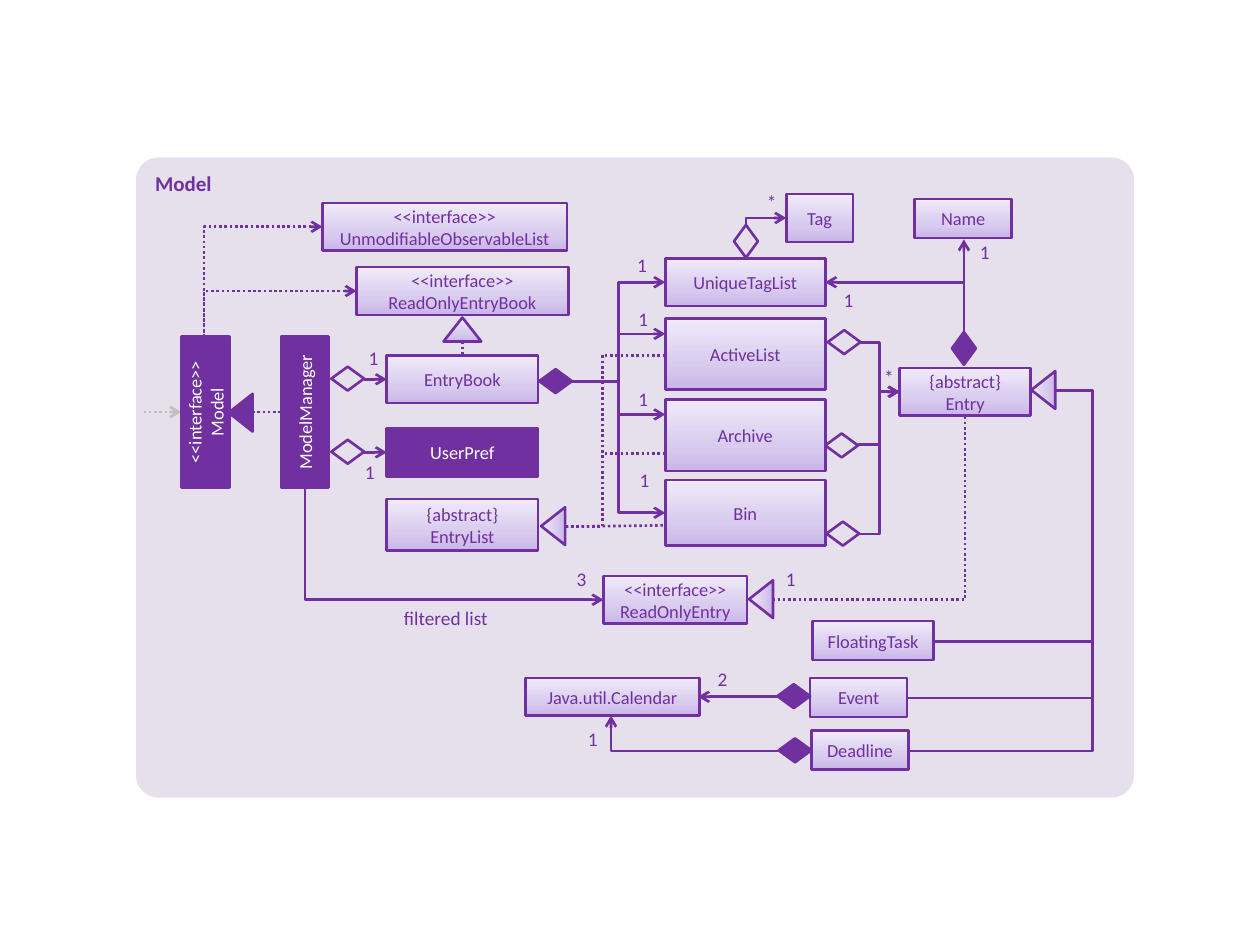
"""Builds the class diagram of the Model component."""
from copy import deepcopy

from lxml import etree
from pptx import Presentation, util as u
from pptx.dml.color import RGBColor
from pptx.enum import dml, shapes, text
from pptx.oxml.ns import qn

PURPLE, WHITE, GREY = "7030A0", "FFFFFF", "BFBFBF"
RECT = shapes.MSO_SHAPE.RECTANGLE
DIAMOND = shapes.MSO_SHAPE.FLOWCHART_DECISION
TRIANGLE = shapes.MSO_SHAPE.ISOSCELES_TRIANGLE
STOPS = [(0, "C9B5E8"), (0.35, "D8CBEE"), (1, "F0EAF9")]
rgb = RGBColor.from_string

prs = Presentation()
prs.slide_width, prs.slide_height = u.Inches(10), u.Inches(7.5)
s = prs.slides.add_slide(prs.slide_layouts[6])


def node(kind, x, y, w, h, words="", fill="shade", rot=0):
    sp = s.shapes.add_shape(kind, *map(u.Inches, (x, y, w, h)))
    sp.shadow.inherit = False
    sp.rotation = rot
    sp.line.color.rgb = rgb(PURPLE)
    sp.line.width = u.Pt(1.5)
    if fill == "shade":
        sp.fill.gradient()
        sp.fill.gradient_angle = 90
        first = sp.fill.gradient_stops[0]._gs
        first.addnext(deepcopy(first))
        for stop, (place, color) in zip(sp.fill.gradient_stops, STOPS):
            stop.position = place
            stop.color.rgb = rgb(color)
    elif fill:
        sp.fill.solid()
        sp.fill.fore_color.rgb = rgb(fill)
    else:
        sp.fill.background()
    tf = sp.text_frame
    tf.vertical_anchor = text.MSO_ANCHOR.MIDDLE
    tf.margin_left = tf.margin_right = tf.margin_top = tf.margin_bottom = 0
    for i, line in enumerate(words.split("\n") if words else []):
        p = tf.add_paragraph() if i else tf.paragraphs[0]
        p.alignment = text.PP_ALIGN.CENTER
        r = p.add_run()
        r.text = line
        r.font.name, r.font.size = "Calibri", u.Pt(10.5)
        r.font.color.rgb = rgb(WHITE if fill == PURPLE else PURPLE)
    return sp


def link(x1, y1, x2, y2, bend=None, arrow=None, dotted=False, color=PURPLE):
    kind = shapes.MSO_CONNECTOR.STRAIGHT if bend is None else shapes.MSO_CONNECTOR.ELBOW
    cx = s.shapes.add_connector(kind, *map(u.Inches, (x1, y1, x2, y2)))
    cx.line.color.rgb = rgb(color)
    cx.line.width = u.Pt(1.5)
    if dotted:
        cx.line.dash_style = dml.MSO_LINE.ROUND_DOT
    spPr = cx._element.spPr
    geom = spPr.find(qn("a:prstGeom"))
    if bend == x2:
        geom.set("prst", "bentConnector2")
    elif bend is not None:
        share = round((bend - x1) / (x2 - x1) * 100000)
        etree.SubElement(geom.find(qn("a:avLst")), qn("a:gd"), name="adj1", fmla=f"val {share}")
    if arrow:
        etree.SubElement(spPr.find(qn("a:ln")), qn(f"a:{arrow}End"), type="arrow")
    etree.SubElement(spPr, qn("a:effectLst"))


panel = node(shapes.MSO_SHAPE.ROUNDED_RECTANGLE, 1.08, 1.25, 7.92, 5.08, fill="E6E0EC")
panel.adjustments[0] = 0.035
panel.line.fill.background()
tf = panel.text_frame
tf.vertical_anchor = text.MSO_ANCHOR.TOP
tf.margin_left, tf.margin_top = u.Inches(0.1), u.Inches(0.05)
p = tf.paragraphs[0]
p.alignment = text.PP_ALIGN.LEFT
r = p.add_run()
r.text = "Model"
r.font.name, r.font.size, r.font.bold = "Calibri", u.Pt(12), True
r.font.color.rgb = rgb(PURPLE)

for y in (2.24, 2.65, 3.29, 4.07):
    link(4.54, 3.03, 5.28, y, 4.91, "tail")
for x, y in [(6.83, 2.72), (6.81, 3.53), (6.82, 4.24)]:
    link(x, y, 7.14, 3.11, 6.98, "tail")
for x, y in [(7.42, 5.09), (7.2, 5.54), (7.21, 5.96)]:
    link(x, y, 8.37, 3.1, 8.67)
for x, y in [(2.56, 1.8), (2.83, 2.31)]:
    link(x, y, 1.62, 2.67, 1.62, "head", True)
for y in (3.01, 3.59):
    link(2.89, y, 3.07, y, arrow="tail")
link(4.79, 4.76, 2.42, 3.87, 2.42, "head")
link(6.24, 1.73, 5.92, 1.78, 5.92, "head")
link(6.55, 2.24, 7.65, 2.64, 7.65, "head")
link(6.18, 5.96, 4.85, 5.68, 4.85, "tail")
link(7.65, 2.64, 7.65, 1.9, arrow="tail")
link(6.17, 5.53, 5.54, 5.53, arrow="tail")
link(6.13, 4.76, 7.66, 3.3, 7.66, dotted=True)
link(4.49, 4.18, 5.28, 2.82, 4.78, dotted=True)
link(4.49, 4.18, 5.27, 4.17, dotted=True)
link(4.8, 3.6, 5.26, 3.6, dotted=True)
link(3.67, 2.71, 3.67, 2.82, dotted=True)
link(2, 3.27, 2.24, 3.27, dotted=True)
link(1.14, 3.27, 1.44, 3.27, arrow="tail", dotted=True, color=GREY)

for x, words in [(1.03, "<<interface>>\nModel"), (1.82, "ModelManager")]:
    node(RECT, x, 3.08, 1.2, 0.38, words, PURPLE, 270)
node(RECT, 3.07, 3.4, 1.2, 0.38, "UserPref", PURPLE)
for x, y, w, h, words in [
    (2.56, 1.61, 1.94, 0.38, "<<interface>>\nUnmodifiableObservableList"),
    (2.83, 2.12, 1.68, 0.38, "<<interface>>\nReadOnlyEntryBook"),
    (3.07, 2.82, 1.2, 0.38, "EntryBook"),
    (3.07, 3.96, 1.2, 0.41, "{abstract}\nEntryList"),
    (5.28, 2.05, 1.27, 0.38, "UniqueTagList"),
    (5.28, 2.53, 1.27, 0.56, "ActiveList"),
    (5.28, 3.17, 1.27, 0.57, "Archive"),
    (5.28, 3.81, 1.27, 0.52, "Bin"),
    (6.24, 1.54, 0.53, 0.38, "Tag"),
    (7.26, 1.58, 0.77, 0.31, "Name"),
    (7.14, 2.92, 1.04, 0.38, "{abstract}\nEntry"),
    (4.79, 4.57, 1.14, 0.38, "<<interface>>\nReadOnlyEntry"),
    (6.45, 4.93, 0.96, 0.31, "FloatingTask"),
    (6.43, 5.38, 0.77, 0.31, "Event"),
    (6.44, 5.8, 0.77, 0.31, "Deadline"),
    (4.17, 5.38, 1.38, 0.3, "Java.util.Calendar"),
]:
    node(RECT, x, y, w, h, words)

for x, y, fill, rot in [
    (2.63, 2.91, None, 0), (2.63, 3.49, None, 0), (6.57, 2.62, None, 0),
    (6.55, 3.44, None, 0), (6.56, 4.14, None, 0), (5.79, 1.82, None, 270),
    (4.28, 2.93, PURPLE, 0), (6.17, 5.43, PURPLE, 0), (6.18, 5.86, PURPLE, 0),
    (7.52, 2.67, PURPLE, 270),
]:
    node(DIAMOND, x, y, 0.26, 0.19, fill=fill, rot=rot)
for x, y, fill, rot in [
    (1.76, 3.18, PURPLE, 270), (3.52, 2.52, "shade", 0), (8.13, 3, "shade", 270),
    (5.89, 4.66, "shade", 270), (4.24, 4.08, "shade", 270),
]:
    node(TRIANGLE, x, y, 0.3, 0.19, fill=fill, rot=rot)

for x, y, words in [
    (4.99, 2.01, "1"), (5, 2.44, "1"), (5, 3.07, "1"), (5.01, 3.72, "1"),
    (6.63, 2.29, "1"), (6.02, 1.51, "*"), (6.95, 2.9, "*"), (2.86, 2.75, "1"),
    (2.83, 3.65, "1"), (6.17, 4.5, "1"), (7.71, 1.91, "1"), (4.6, 5.77, "1"),
    (5.63, 5.3, "2"), (4.51, 4.5, "3"), (3.01, 4.76, "filtered list"),
]:
    wide = len(words) > 1
    w, h = (0.96, 0.29) if wide else (0.21, 0.2)
    tf = s.shapes.add_textbox(*map(u.Inches, (x, y, w, h))).text_frame
    tf.word_wrap = True
    if not wide:
        tf.margin_left = tf.margin_right = tf.margin_top = tf.margin_bottom = 0
    p = tf.paragraphs[0]
    p.alignment = text.PP_ALIGN.RIGHT if wide else text.PP_ALIGN.CENTER
    r = p.add_run()
    r.text = words
    r.font.name, r.font.size = "Calibri", u.Pt(11)
    r.font.color.rgb = rgb(PURPLE)

prs.save("out.pptx")
